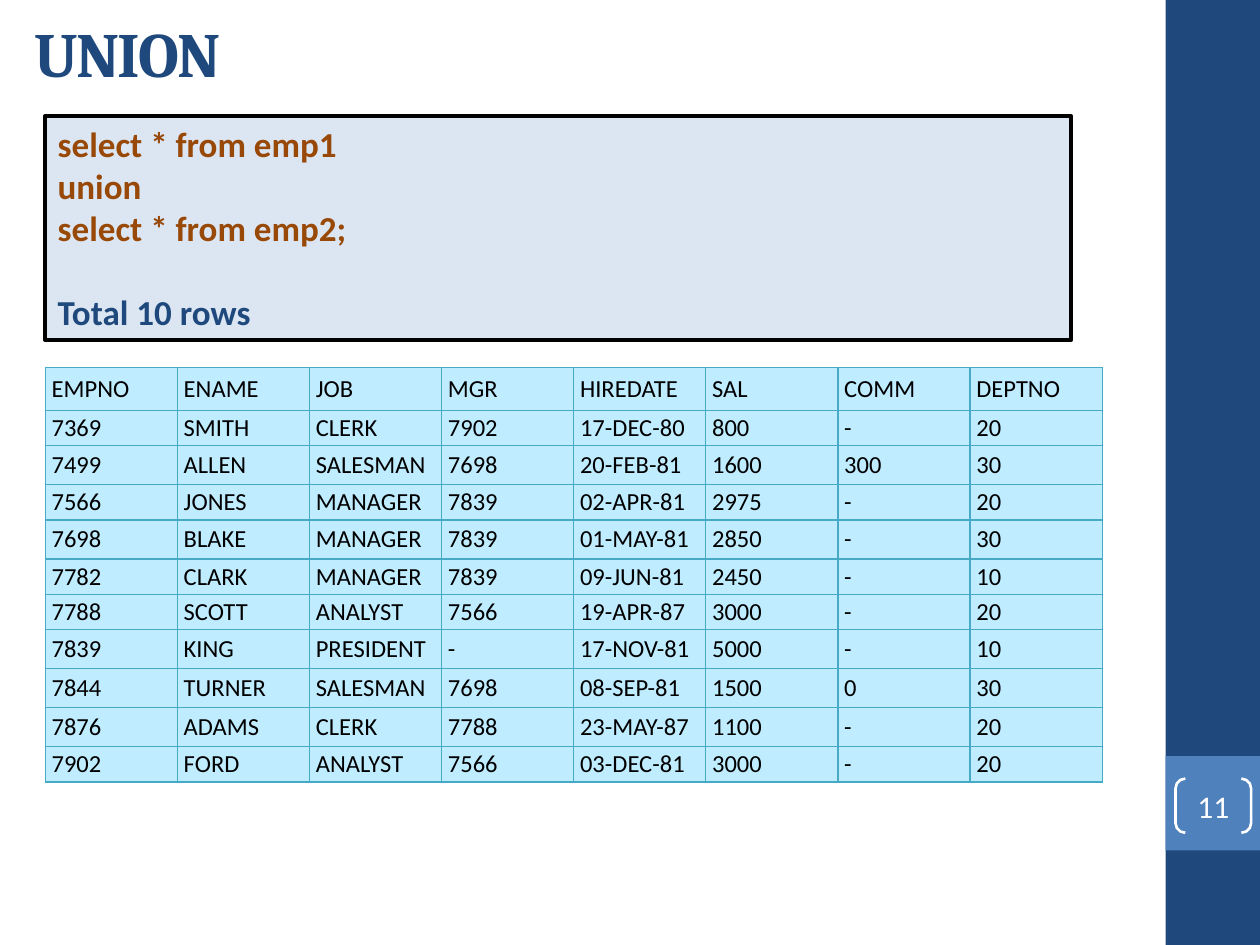
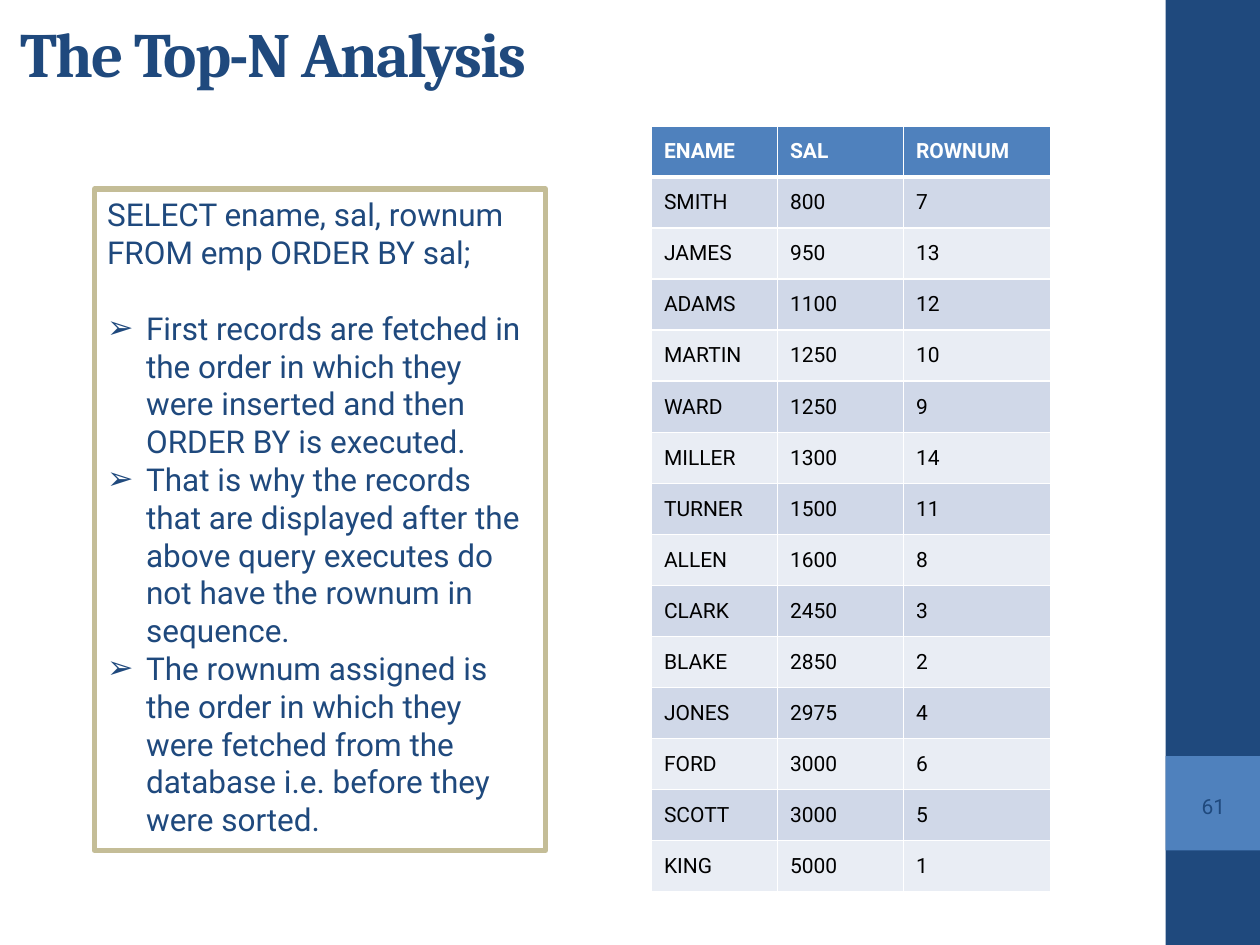
from dataclasses import dataclass

from lxml.etree import SubElement
from pptx import Presentation
from pptx.dml.color import RGBColor
from pptx.enum.shapes import MSO_SHAPE
from pptx.enum.text import MSO_ANCHOR, MSO_AUTO_SIZE, PP_ALIGN
from pptx.oxml.ns import qn
from pptx.util import Pt

PX = 9144
WIDE, HIGH = 1000, 750


@dataclass(frozen=True)
class Theme:
    """Colours, fonts and type sizes of the deck."""
    navy: str = "1F497D"
    blue: str = "4F81BD"
    white: str = "FFFFFF"
    black: str = "000000"
    brown: str = "984807"
    pale: str = "DCE6F2"
    sky: str = "BFECFF"
    teal: str = "46AAC5"
    sand: str = "C4BD97"
    odd: str = "D0D8E8"
    even: str = "E9EDF4"
    serif: str = "Cambria"
    plain: str = "Calibri"
    sans: str = "Roboto"
    head: int = 36
    code: int = 20
    text: int = 18
    cell: int = 14
    small: int = 12


T = Theme()

STAFF = """EMPNO ENAME JOB MGR HIREDATE SAL COMM DEPTNO
7369 SMITH CLERK 7902 17-DEC-80 800 - 20
7499 ALLEN SALESMAN 7698 20-FEB-81 1600 300 30
7566 JONES MANAGER 7839 02-APR-81 2975 - 20
7698 BLAKE MANAGER 7839 01-MAY-81 2850 - 30
7782 CLARK MANAGER 7839 09-JUN-81 2450 - 10
7788 SCOTT ANALYST 7566 19-APR-87 3000 - 20
7839 KING PRESIDENT - 17-NOV-81 5000 - 10
7844 TURNER SALESMAN 7698 08-SEP-81 1500 0 30
7876 ADAMS CLERK 7788 23-MAY-87 1100 - 20
7902 FORD ANALYST 7566 03-DEC-81 3000 - 20"""

RANKS = """ENAME SAL ROWNUM
SMITH 800 7
JAMES 950 13
ADAMS 1100 12
MARTIN 1250 10
WARD 1250 9
MILLER 1300 14
TURNER 1500 11
ALLEN 1600 8
CLARK 2450 3
BLAKE 2850 2
JONES 2975 4
FORD 3000 6
SCOTT 3000 5
KING 5000 1"""

UNION = ["select * from emp1", "union", "select * from emp2;"]
QUERY = ["SELECT ename, sal, rownum", "FROM emp ORDER BY sal;"]
NOTES = [
    "First records are fetched in the order in which they were inserted "
    "and then ORDER BY is executed.",
    "That is why the records that are displayed after the above query "
    "executes do not have the rownum in sequence.",
    "The rownum assigned is the order in which they were fetched from the "
    "database i.e. before they were sorted.",
]


def emu(box):
    """Turn px lengths into EMU."""
    return [n * PX for n in box]


def style(para, face, size, tint, bold=False):
    """Set the font of a paragraph."""
    font = para.font
    font.name, font.size, font.bold = face, Pt(size), bold
    font.color.rgb = RGBColor.from_string(tint)


def paint(shape, fill=None, line=None, width=1):
    """Set the fill and outline of a shape."""
    if fill:
        shape.fill.solid()
        shape.fill.fore_color.rgb = RGBColor.from_string(fill)
    else:
        shape.fill.background()
    if line:
        shape.line.color.rgb = RGBColor.from_string(line)
        shape.line.width = Pt(width)
    else:
        shape.line.fill.background()


def block(slide, kind, box, **look):
    """Add a flat preset shape."""
    shape = slide.shapes.add_shape(kind, *emu(box))
    shape.shadow.inherit = False
    paint(shape, **look)
    return shape


def place(holder, box):
    """Move a placeholder into a box."""
    holder.left, holder.top, holder.width, holder.height = emu(box)
    holder.text_frame.auto_size = MSO_AUTO_SIZE.NONE


def title(slide, box, text):
    """Fill the title placeholder."""
    holder = slide.shapes.title
    place(holder, box)
    frame = holder.text_frame
    frame.text, frame.vertical_anchor = text, MSO_ANCHOR.MIDDLE
    para = frame.paragraphs[0]
    para.alignment = PP_ALIGN.LEFT
    para.runs[0]._r.get_or_add_rPr().set("spc", "-100")
    style(para, T.serif, T.head, T.navy, True)


def side(slide, box, page, face, size, tint, line=None):
    """Draw the side band with its page number."""
    left, top, width, high = box
    block(slide, MSO_SHAPE.RECTANGLE, box, fill=T.navy)
    block(slide, MSO_SHAPE.RECTANGLE, (left, top + 600, width, width),
          fill=T.blue)
    mark = block(slide, MSO_SHAPE.DOUBLE_BRACKET,
                 (left + 8, top + 618, 60, 43), line=line, width=1.5)
    mark.adjustments[0] = 0.18
    frame = mark.text_frame
    frame.margin_left = frame.margin_right = 0
    frame.margin_top = frame.margin_bottom = 0
    frame.vertical_anchor = MSO_ANCHOR.MIDDLE
    frame.text = page
    para = frame.paragraphs[0]
    para.alignment = PP_ALIGN.CENTER
    style(para, face, size, tint)


def union(slide, box):
    """Show the union query and its row count."""
    frame = block(slide, MSO_SHAPE.RECTANGLE, box, fill=T.pale,
                  line=T.black, width=2.25).text_frame
    frame.word_wrap, frame.vertical_anchor = True, MSO_ANCHOR.TOP
    frame.text = "\n".join(UNION + ["Total 10 rows"])
    for para in frame.paragraphs:
        para.alignment = PP_ALIGN.LEFT
        style(para, T.plain, T.code, T.brown, True)
    total = frame.paragraphs[-1]
    total.space_before = Pt(24)
    style(total, T.plain, T.code, T.navy, True)


def notes(slide, box):
    """Fill the body with the query and its bullets."""
    body = slide.placeholders[1]
    place(body, box)
    paint(body, line=T.sand, width=3)
    frame = body.text_frame
    frame.text = "\n".join(QUERY + NOTES)
    for spot, para in enumerate(frame.paragraphs):
        para.space_before = Pt(21.6 if spot == len(QUERY) else 0)
        props = para._p.get_or_add_pPr()
        listed = spot >= len(QUERY)
        dent = 31 * PX if listed else 0
        props.set("marL", str(dent))
        props.set("indent", str(-dent))
        if listed:
            SubElement(props, qn("a:buChar")).set("char", "➢")
        else:
            SubElement(props, qn("a:buNone"))
        style(para, T.sans, T.text, T.navy)


def edge(cell, tint, **sides):
    """Draw the four borders of a cell, widths in points."""
    props = cell._tc.get_or_add_tcPr()
    for name in "LRTB":
        line = SubElement(props, qn("a:ln" + name))
        line.set("w", str(Pt(sides[name])))
        fill = SubElement(line, qn("a:solidFill"))
        SubElement(fill, qn("a:srgbClr")).set("val", tint)


def grid(slide, box, data, dress):
    """Add a table and dress each cell."""
    rows = [line.split() for line in data.splitlines()]
    table = slide.shapes.add_table(len(rows), len(rows[0]), *emu(box)).table
    table.first_row = table.horz_banding = False
    for r, row in enumerate(rows):
        for c, text in enumerate(row):
            cell = table.cell(r, c)
            cell.text = text
            cell.vertical_anchor = MSO_ANCHOR.MIDDLE
            fill = dress(cell, r)
            cell.fill.solid()
            cell.fill.fore_color.rgb = RGBColor.from_string(fill)
    return table


def clerk(cell, row):
    """Dress a staff cell and return its fill."""
    cell.margin_left = cell.margin_right = 5 * PX
    cell.margin_top = cell.margin_bottom = (2 if row else 5) * PX
    if not row:
        cell.vertical_anchor = MSO_ANCHOR.BOTTOM
    edge(cell, T.teal, **dict.fromkeys("LRTB", 0.75))
    style(cell.text_frame.paragraphs[0], T.plain, T.cell, T.black)
    return T.sky


def rank(cell, row):
    """Dress a rank cell and return its fill."""
    edge(cell, T.white, L=1, R=1, T=3 if row == 1 else 1, B=1 if row else 3)
    tint = T.black if row else T.white
    style(cell.text_frame.paragraphs[0], T.sans, T.small, tint, not row)
    return (T.odd if row % 2 else T.even) if row else T.blue


def main():
    """Build both slides and save them."""
    deck = Presentation()
    deck.slide_width, deck.slide_height = emu((WIDE, HIGH))
    band = (925, 0, 75, HIGH)

    first = deck.slides.add_slide(deck.slide_layouts[5])
    side(first, band, "11", T.plain, T.text, T.white, T.white)
    title(first, (17, 8, 833, 67), "UNION")
    union(first, (36, 92, 814, 178))
    staff = grid(first, (36, 292, 839, 327), STAFF, clerk)
    for row, high in zip(staff.rows, (31, 28, 31, 28, 31, 28, 28, 31, 31, 31, 28)):
        row.height = high * PX

    last = deck.slides.add_slide(deck.slide_layouts[1])
    side(last, band, "61", T.sans, T.small, T.navy)
    title(last, (6, 8, 895, 67), "The Top-N Analysis")
    notes(last, (75, 150, 358, 525))
    ranks = grid(last, (517, 100, 317, 608), RANKS, rank)
    for col, width in zip(ranks.columns, (100, 100, 117)):
        col.width = width * PX

    deck.save("out.pptx")


if __name__ == "__main__":
    main()
